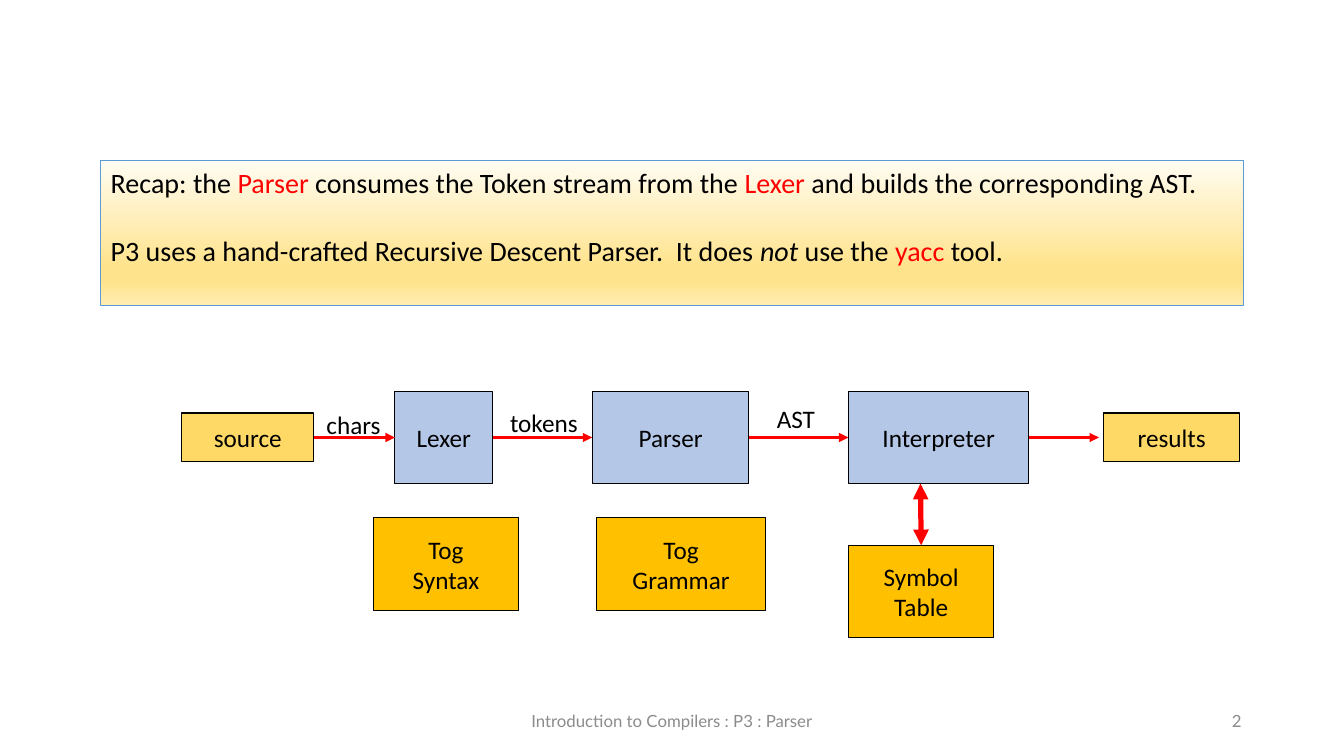
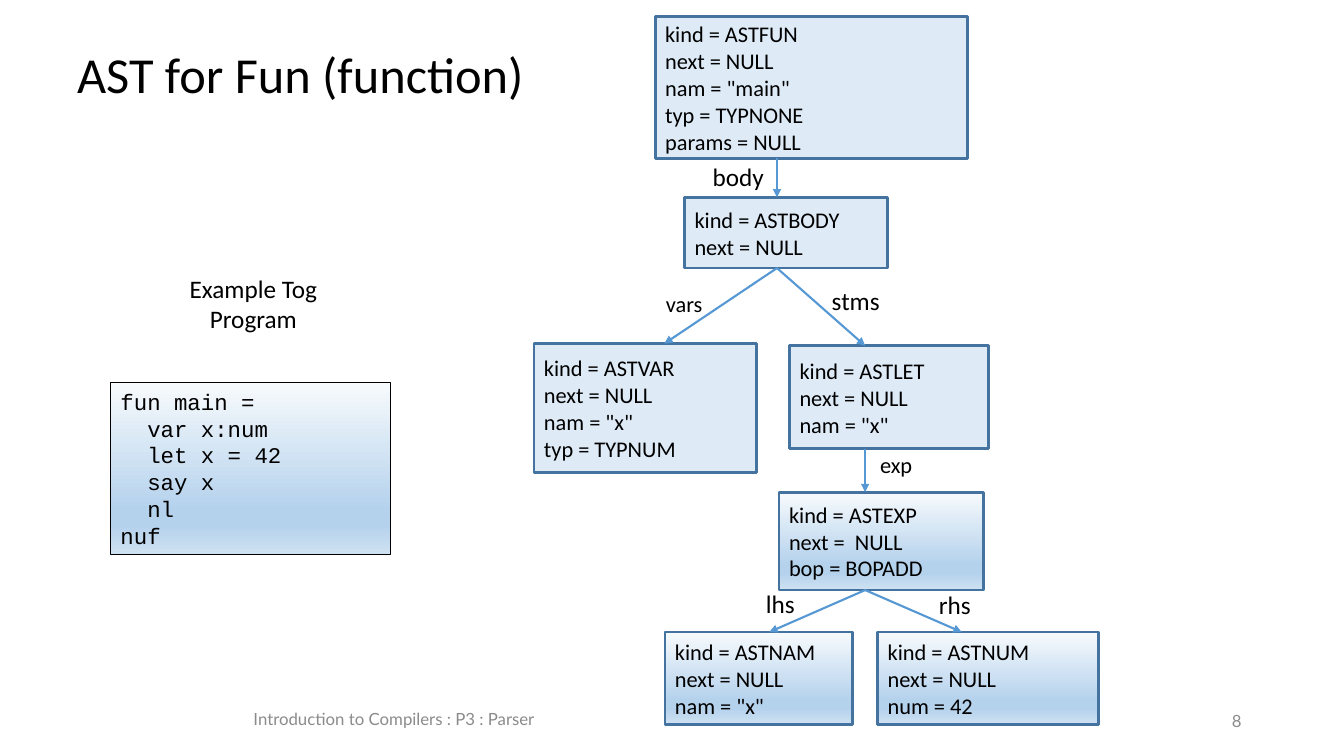
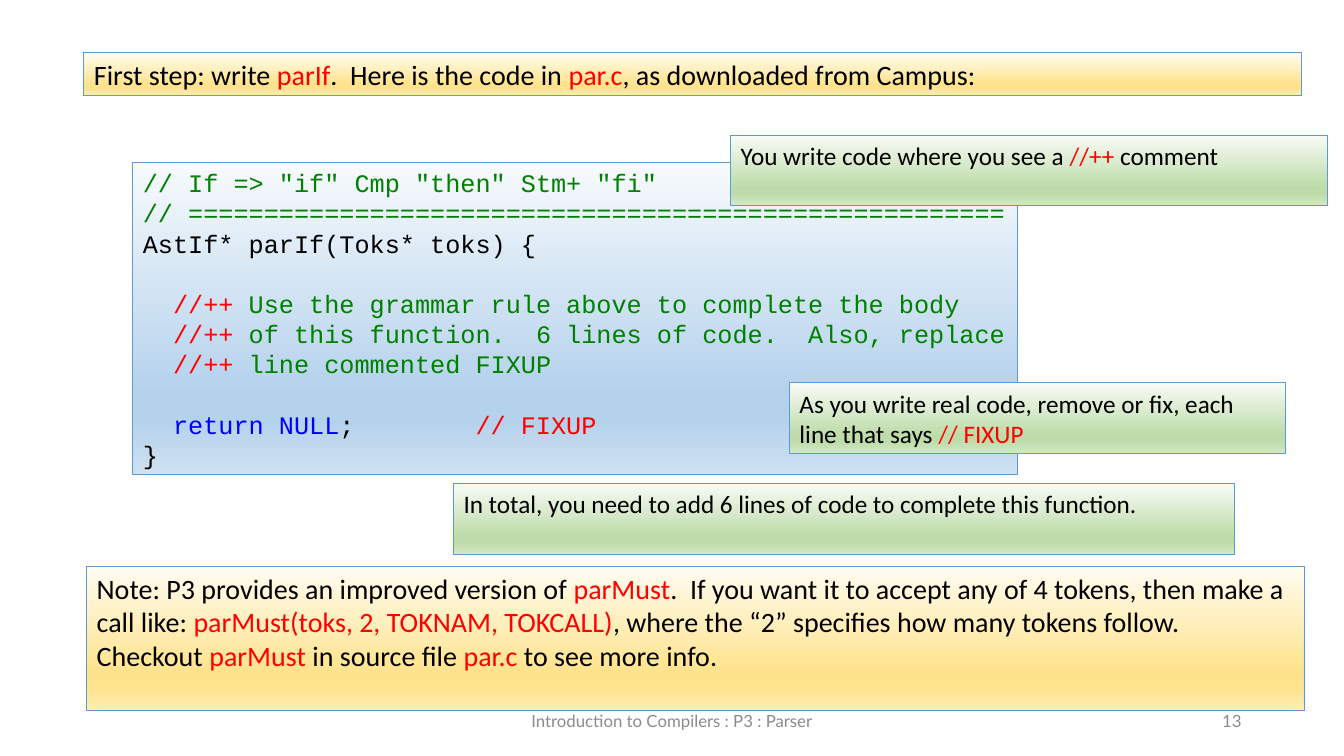
"""Build three slides about the parser stage of a small compiler."""
from copy import deepcopy

from lxml.etree import SubElement
from pptx import Presentation
from pptx.dml.color import RGBColor
from pptx.enum.shapes import MSO_CONNECTOR, MSO_SHAPE
from pptx.enum.text import MSO_ANCHOR, PP_ALIGN
from pptx.oxml.ns import qn
from pptx.util import Pt

BLACK = RGBColor(0x00, 0x00, 0x00)
RED = RGBColor(0xFF, 0x00, 0x00)
GREEN = RGBColor(0x00, 0x80, 0x00)
BLUE = RGBColor(0x00, 0x00, 0xFF)
GRAY = RGBColor(0x8B, 0x8B, 0x8B)
STAGE_BLUE = RGBColor(0xB4, 0xC7, 0xE7)
DATA_YELLOW = RGBColor(0xFF, 0xD9, 0x66)
RULE_ORANGE = RGBColor(0xFF, 0xC0, 0x00)
NODE_FILL = RGBColor(0xDE, 0xEB, 0xF7)
NODE_LINE = RGBColor(0x43, 0x73, 0x9E)
NODE_ARROW = RGBColor(0x56, 0x98, 0xD3)
PANEL_LINE = RGBColor(0x5B, 0x9B, 0xD5)
YELLOW_SHADES = (RGBColor(0xFF, 0xFC, 0xF2), RGBColor(0xFF, 0xE3, 0x8C),
                 RGBColor(0xFF, 0xE3, 0x8C), RGBColor(0xFF, 0xEC, 0xB2))
BLUE_SHADES = (RGBColor(0xF7, 0xFA, 0xFD), RGBColor(0xB5, 0xD2, 0xEC),
               RGBColor(0xB5, 0xD2, 0xEC), RGBColor(0xCE, 0xE1, 0xF2))
GREEN_SHADES = (RGBColor(0xF8, 0xFB, 0xF6), RGBColor(0xBE, 0xDC, 0xAA),
                RGBColor(0xBE, 0xDC, 0xAA), RGBColor(0xD4, 0xE8, 0xC6))
SHADE_POSITIONS = (0, 0.74, 0.83, 1)
CODE_FONT = "Courier New"


def add_box(slide, frame, lines, size=18, fill=None, line=BLACK, weight=0.75, color=BLACK,
            font="Calibri", align=PP_ALIGN.LEFT, anchor=MSO_ANCHOR.TOP, tabs=()):
    """Add a text box, or a rectangle if filled; a line is a string or (text, colour) pairs."""
    frame = [Pt(length) for length in frame]
    if fill is None:
        shape = slide.shapes.add_textbox(*frame)
    else:
        shape = slide.shapes.add_shape(MSO_SHAPE.RECTANGLE, *frame)
        shape.shadow.inherit = False
        shape.line.color.rgb = line
        shape.line.width = Pt(weight)
        if isinstance(fill, RGBColor):
            shape.fill.solid()
            shape.fill.fore_color.rgb = fill
        else:
            shape.fill.gradient()
            shape.fill.gradient_angle = 270
            stops = shape.element.spPr.find(".//" + qn("a:gsLst"))
            for _ in fill[2:]:
                stops.append(deepcopy(stops[0]))
            for stop, position, shade in zip(shape.fill.gradient_stops, SHADE_POSITIONS, fill):
                stop.position = position
                stop.color.rgb = shade
    text_frame = shape.text_frame
    text_frame.word_wrap = True
    text_frame.vertical_anchor = anchor
    for index, pieces in enumerate(lines):
        paragraph = text_frame.add_paragraph() if index else text_frame.paragraphs[0]
        paragraph.alignment = align
        if font == CODE_FONT:
            paragraph.line_spacing = Pt(1.2 * size)
        if tabs:
            tab_list = SubElement(paragraph._p.get_or_add_pPr(), qn("a:tabLst"))
            for position in tabs:
                SubElement(tab_list, qn("a:tab"), pos=str(Pt(position)), algn="l")
        for text, piece_color in [(pieces, color)] if isinstance(pieces, str) else pieces:
            run = paragraph.add_run()
            run.text = text
            run.font.size = Pt(size)
            run.font.name = font
            run.font.color.rgb = piece_color
    return shape


def add_arrow(slide, points, color, weight, ends=("tailEnd",)):
    """Add a straight arrow through two points."""
    arrow = slide.shapes.add_connector(MSO_CONNECTOR.STRAIGHT, *[Pt(length) for length in points])
    arrow.line.color.rgb = color
    arrow.line.width = Pt(weight)
    for end in ends:
        SubElement(arrow.line._get_or_add_ln(), qn("a:" + end), type="triangle")
    SubElement(arrow._element.spPr, qn("a:effectLst"))
    return arrow


presentation = Presentation()
presentation.slide_width = Pt(960)
presentation.slide_height = Pt(540)

slides = []
for number, footer_left, footer_top in (("2", 318, 500), ("8", 119.5, 499), ("13", 318, 500)):
    slide = presentation.slides.add_slide(presentation.slide_layouts[6])
    for frame, text, align in (
        ((footer_left, footer_top, 324, 29), "Introduction to Compilers : P3 : Parser", PP_ALIGN.CENTER),
        ((678, 500, 216, 29), number, PP_ALIGN.RIGHT),
    ):
        add_box(slide, frame, [text], 12, color=GRAY, font="Lato", align=align,
                anchor=MSO_ANCHOR.MIDDLE)
    slides.append(slide)
pipeline_slide, tree_slide, code_slide = slides

recap = add_box(pipeline_slide, (72, 115, 816, 103), [
    [("Recap: the ", BLACK), ("Parser", RED), (" consumes the Token stream from the ", BLACK),
     ("Lexer", RED), (" and builds the corresponding AST.", BLACK)],
    [("P3 uses a hand-crafted Recursive Descent Parser.  It does ", BLACK), ("not", BLACK),
     (" use the ", BLACK), ("yacc", RED), (" tool.", BLACK)],
], 20, YELLOW_SHADES, PANEL_LINE)
recap.text_frame.paragraphs[1].space_before = Pt(24)
recap.text_frame.paragraphs[1].runs[1].font.italic = True

boxes = {}
for text, left, top, width, height, fill in (
    ("source", 130, 295, 94, 35, DATA_YELLOW),
    ("Lexer", 282, 279.5, 70, 66, STAGE_BLUE),
    ("Parser", 423, 279.5, 112, 66, STAGE_BLUE),
    ("Interpreter", 606, 279.5, 129, 66, STAGE_BLUE),
    ("results", 788.5, 295, 97, 35, DATA_YELLOW),
    ("Tog\nSyntax", 266.5, 370, 104, 66, RULE_ORANGE),
    ("Tog\nGrammar", 426, 370, 121, 66, RULE_ORANGE),
    ("Symbol Table", 606, 389.5, 104, 66, RULE_ORANGE),
    ("chars", 216, 286, 73, 35, None),
    ("tokens", 344, 284, 89, 35, None),
    ("AST", 539, 284, 59, 29, None),
):
    boxes[text] = add_box(pipeline_slide, (left, top, width, height), text.split("\n"), fill=fill,
                          align=PP_ALIGN.CENTER, anchor=MSO_ANCHOR.MIDDLE)

for start, end in (("source", "Lexer"), ("Lexer", "Parser"), ("Parser", "Interpreter")):
    arrow = add_arrow(pipeline_slide, (0, 0, 0, 0), RED, 2.25)
    arrow.begin_connect(boxes[start], 3)
    arrow.end_connect(boxes[end], 1)
results_arrow = add_arrow(pipeline_slide, (735, 312.5, 785, 312.5), RED, 2.25)
results_arrow.begin_connect(boxes["Interpreter"], 3)
table_arrow = add_arrow(pipeline_slide, (657.5, 345.5, 658, 389.5), RED, 3.75, ("headEnd", "tailEnd"))
table_arrow.end_connect(boxes["Symbol Table"], 0)

title = add_box(tree_slide, (48, 29.5, 402, 52), ["AST for Fun (function)"], 36,
                anchor=MSO_ANCHOR.MIDDLE)
title.text_frame.paragraphs[0].line_spacing = 0.9
add_box(tree_slide, (127, 191.5, 108, 72), ["Example Tog Program"], align=PP_ALIGN.CENTER)
add_box(tree_slide, (79, 273.5, 200, 122.5),
        ["fun main =", "\tvar x:num", "\tlet x = 42", "\tsay x", "\tnl", "nuf"],
        16, BLUE_SHADES, font=CODE_FONT, tabs=(19.2,))

for frame, fill, lines in (
    ((468, 12, 223, 101), NODE_FILL,
     ["kind = ASTFUN", "next = NULL", 'nam = "main"', "typ = TYPNONE", "params = NULL"]),
    ((489, 141, 145, 50.5), NODE_FILL, ["kind = ASTBODY", "next = NULL"]),
    ((381.5, 245.5, 159, 92), NODE_FILL,
     ["kind = ASTVAR", "next = NULL", 'nam = "x"', "typ = TYPNUM"]),
    ((564, 247, 142, 73.5), NODE_FILL, ["kind = ASTLET", "next = NULL", 'nam = "x"']),
    ((556.5, 351.5, 146, 70), BLUE_SHADES, ["kind = ASTEXP", "next =  NULL", "bop = BOPADD"]),
    ((475, 451.5, 134, 66), BLUE_SHADES, ["kind = ASTNAM", "next = NULL", 'nam = "x"']),
    ((627, 451.5, 158, 66), BLUE_SHADES, ["kind = ASTNUM", "next = NULL", "num = 42"]),
):
    add_box(tree_slide, frame, lines, 16, fill, NODE_LINE, 2, anchor=MSO_ANCHOR.MIDDLE)

for points, label, left, top, size in (
    ((555, 113, 555, 141), "body", 502, 111.5, 18),
    ((555, 191.5, 474.5, 245.5), "vars", 468.5, 204, 16),
    ((555, 191.5, 618, 247), "stms", 587, 200, 18),
    ((618, 320.5, 618, 351.5), "exp", 621.5, 318.5, 16),
    ((618, 421.5, 549.5, 451.5), "lhs", 540, 417, 18),
    ((618, 421.5, 687, 451.5), "rhs", 663.5, 417.5, 18),
):
    add_arrow(tree_slide, points, NODE_ARROW, 1.5)
    add_box(tree_slide, (left, top, 65, 29), [label], size)

add_box(code_slide, (60, 37.5, 870, 31), [
    [("First step: write ", BLACK), ("parIf", RED), (".  Here is the code in ", BLACK),
     ("par.c", RED), (", as downloaded from Campus:", BLACK)],
], 20, YELLOW_SHADES, PANEL_LINE)

code = add_box(code_slide, (95, 116, 632, 223), [
    [('// If => "if" Cmp "then" Stm+ "fi"', GREEN)],
    [("// " + "=" * 54, GREEN)],
    "AstIf* parIf(Toks* toks) {",
    [("\t//++", RED), (" Use the grammar rule above to complete the body", GREEN)],
    [("\t//++", RED), (" of this function.  6 lines of code.  Also, replace", GREEN)],
    [("\t//++", RED), (" line commented FIXUP", GREEN)],
    [("\treturn NULL", BLUE), (";\t", BLACK), ("// FIXUP", RED)],
    "}",
], 18, BLUE_SHADES, PANEL_LINE, font=CODE_FONT, tabs=(21.6, 237.6))
for index in (3, 6):
    code.text_frame.paragraphs[index].space_before = Pt(21.6)

for frame, pieces in (
    ((522, 96.5, 426, 50.5),
     [("You write code where you see a ", BLACK), ("//++", RED), (" comment", BLACK)]),
    ((564, 273.5, 354, 50.5),
     [("As you write real code, remove or fix, each line that says ", BLACK), ("// FIXUP", RED)]),
    ((324, 345.5, 558, 50.5),
     "In total, you need to add 6 lines of code to complete this function."),
):
    add_box(code_slide, frame, [pieces], 18, GREEN_SHADES, PANEL_LINE)

add_box(code_slide, (62, 404.5, 870, 103), [
    [("Note: P3 provides an improved version of ", BLACK), ("parMust", RED),
     (".  If you want it to accept any of 4 tokens, then make a call like: ", BLACK),
     ("parMust(toks, 2, TOKNAM, TOKCALL)", RED),
     (", where the “2” specifies how many tokens follow.  Checkout ", BLACK), ("parMust", RED),
     (" in source file ", BLACK), ("par.c", RED), (" to see more info.", BLACK)],
], 20, YELLOW_SHADES, PANEL_LINE)

presentation.save("out.pptx")
